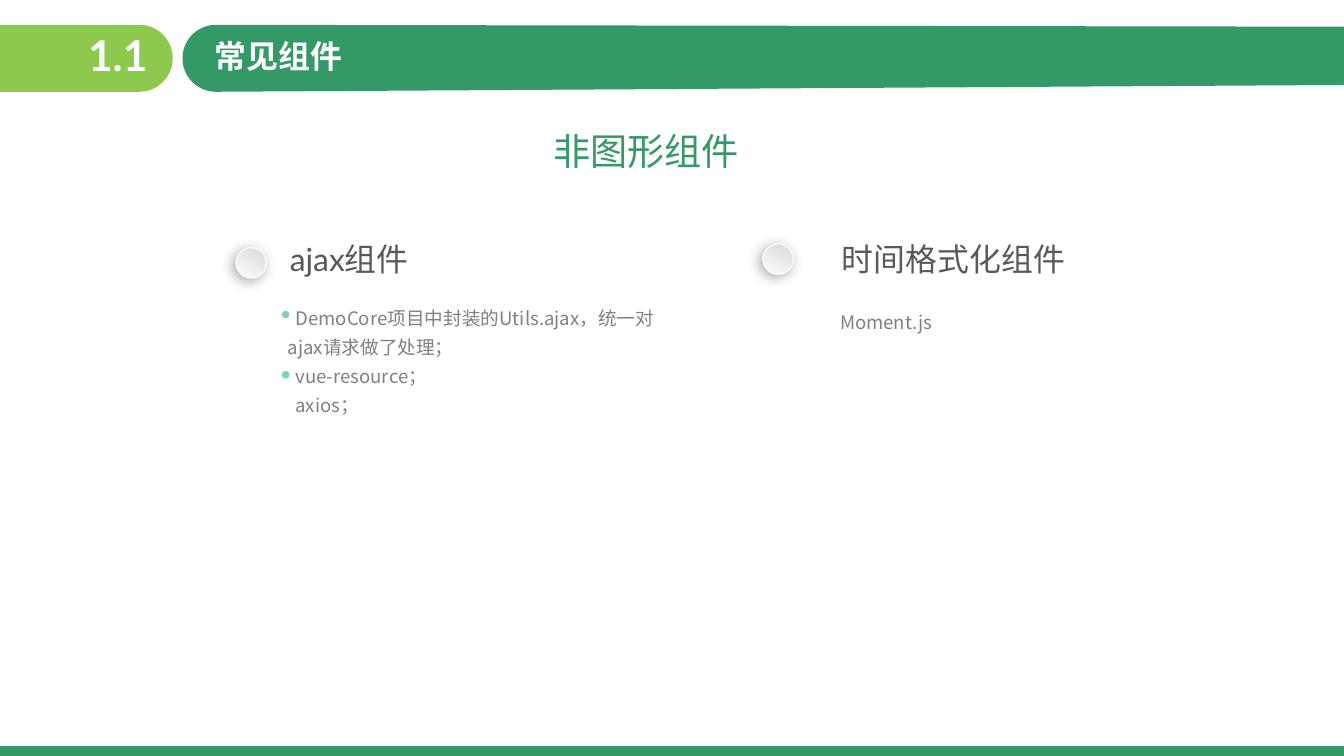
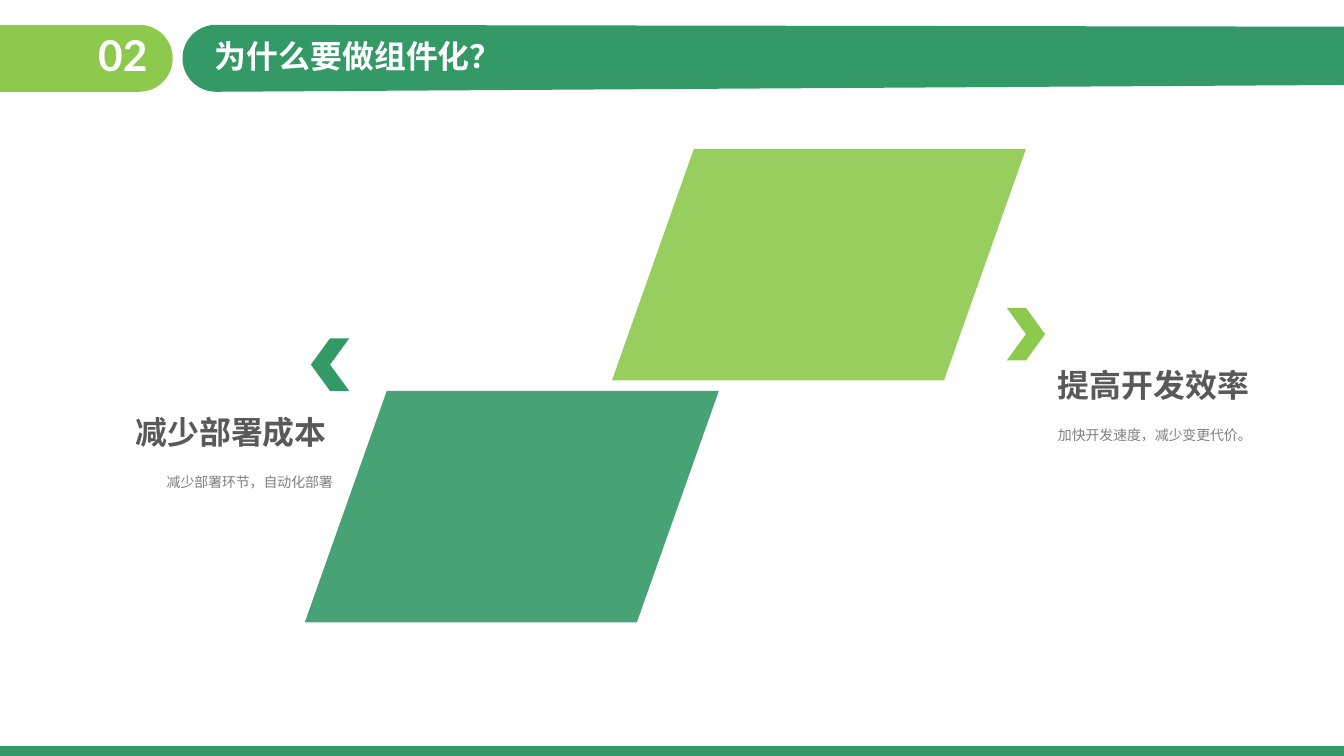
import math

from lxml import etree
from pptx import Presentation
from pptx.dml.color import RGBColor
from pptx.enum import shapes, text
from pptx.oxml import ns
from pptx.util import Cm, Pt

GREEN = RGBColor(0x33, 0x99, 0x66)
LIME = RGBColor(0x8C, 0xC9, 0x4C)
BULLET_GREEN = RGBColor(0x00, 0xB0, 0x50)
WHITE = RGBColor(0xFF, 0xFF, 0xFF)
DARK = RGBColor(0x59, 0x59, 0x59)
GREY = RGBColor(0x80, 0x80, 0x80)
KNOB_DARK = RGBColor(0xD9, 0xD9, 0xD9)
KNOB_LIGHT = RGBColor(0xFC, 0xFC, 0xFC)
CJK = "Noto Sans CJK SC"
SHAPE, ALIGN = shapes.MSO_SHAPE, text.PP_ALIGN

SLIDE_W, SLIDE_H = 35.71, 20.09
BAND_TOP, BAND_RADIUS = 0.66, 0.89

NUMBER = {"size": Pt(32), "name": "Lato", "bold": True, "color": WHITE}
TITLE = {**NUMBER, "size": Pt(24)}
SUBTITLE = {"size": Pt(28), "name": CJK, "color": GREEN}
HEADING = {"size": Pt(24), "name": "Lato", "color": DARK}
BOLD_HEADING = {**HEADING, "name": "Arial", "bold": True}
BODY = {"size": Pt(14), "name": CJK, "color": GREY}
SMALL = {**BODY, "size": Pt(10.5)}

COMPONENTS = [
    {"heading": "ajax组件", "left": 7.45, "knob": (6.27, 6.58), "body_top": 7.85,
     "indent": 0.2, "bullets": (8.26, 9.86),
     "lines": ["DemoCore项目中封装的Utils.ajax，统一对ajax请求做了处理；",
               "vue-resource；", "axios；"]},
    {"heading": "时间格式化组件", "left": 22.12, "knob": (20.27, 6.48), "body_top": 7.95,
     "indent": 0, "bullets": (), "lines": ["Moment.js"]},
]
REASONS = [
    {"heading": "减少部署成本", "note": "减少部署环节，自动化部署", "color": GREEN,
     "panel": (8.1, 10.39), "chevron": (8.26, 8.99), "turn": 180,
     "heading_at": (3.35, 10.85), "note_at": (1.3, 12.34), "align": ALIGN.RIGHT},
    {"heading": "提高开发效率", "note": "加快开发速度，减少变更代价。", "color": LIME,
     "panel": (16.26, 3.96), "chevron": (26.75, 8.18), "turn": 0,
     "heading_at": (27.86, 9.58), "note_at": (27.86, 11.07), "align": ALIGN.LEFT},
]


def add_text(page, at, lines, style, align=ALIGN.LEFT, spacing=1.0, indent=0):
    box = page.shapes.add_textbox(*map(Cm, at))
    frame = box.text_frame
    frame.word_wrap = True
    for number, line in enumerate(lines):
        para = frame.paragraphs[0] if number == 0 else frame.add_paragraph()
        para.alignment, para.line_spacing = align, spacing
        if indent:
            para._p.get_or_add_pPr().set("indent", str(Cm(indent)))
        span = para.add_run()
        span.text = line
        for key, value in style.items():
            if key == "color":
                span.font.color.rgb = value
            else:
                setattr(span.font, key, value)
        east_asian = etree.SubElement(span.font._element, ns.qn("a:ea"))
        east_asian.set("typeface", CJK)
        span.font._element.find(ns.qn("a:latin")).addnext(east_asian)


def paint(shape, color, opacity=100):
    shape.shadow.inherit = False
    shape.fill.solid()
    shape.fill.fore_color.rgb = color
    shape.line.fill.background()
    if opacity < 100:
        tone = shape.element.spPr.find(f"{ns.qn('a:solidFill')}/{ns.qn('a:srgbClr')}")
        etree.SubElement(tone, ns.qn("a:alpha")).set("val", str(opacity * 1000))


def add_filled(page, kind, at, color, opacity=100):
    shape = page.shapes.add_shape(kind, *map(Cm, at))
    paint(shape, color, opacity)
    return shape


def add_round_band(page, center_x, side, end_points, color):
    """Draw a band with a half-round end; side is 1 for right, -1 for left."""
    arc = []
    for degrees in range(-90, 91, 5):
        angle = math.radians(degrees)
        arc.append((center_x + side * BAND_RADIUS * math.cos(angle),
                    BAND_TOP + BAND_RADIUS * (1 + math.sin(angle))))
    points = [(Cm(x), Cm(y)) for x, y in arc + end_points]
    outline = page.shapes.build_freeform(*points[0])
    outline.add_line_segments(points[1:])
    paint(outline.convert_to_shape(), color)


def add_knob(page, left, top):
    knob = add_filled(page, SHAPE.OVAL, (left, top, 0.81, 0.81), KNOB_LIGHT)
    knob.fill.gradient()
    knob.fill.gradient_angle = 240
    for stop, color in zip(knob.fill.gradient_stops, (KNOB_DARK, KNOB_LIGHT)):
        stop.color.rgb = color
    knob.line.color.rgb = KNOB_LIGHT
    knob.line.width = Pt(1)
    effects = knob.element.spPr.find(ns.qn("a:effectLst"))
    shadow = etree.SubElement(effects, ns.qn("a:outerShdw"), blurRad=str(Pt(10)),
                              dist=str(Pt(3)), dir=str(136 * 60000))
    tone = etree.SubElement(shadow, ns.qn("a:srgbClr"), val="000000")
    etree.SubElement(tone, ns.qn("a:alpha"), val="34000")


def add_page(deck, number, title):
    page = deck.slides.add_slide(deck.slide_layouts[6])
    bottom = BAND_TOP + 2 * BAND_RADIUS
    add_round_band(page, 3.7, 1, [(0, bottom), (0, BAND_TOP)], LIME)
    add_round_band(page, 5.74, -1, [(SLIDE_W, 2.26), (SLIDE_W, 0.71)], GREEN)
    add_text(page, (0, 0.66, 4.17, 1.63), [number], NUMBER, ALIGN.RIGHT)
    add_text(page, (5.46, 0.86, 20, 1.27), [title], TITLE)
    add_filled(page, SHAPE.RECTANGLE, (0, 19.83, SLIDE_W, SLIDE_H - 19.83), GREEN)
    return page


def add_components(deck):
    page = add_page(deck, "1.1", "常见组件")
    add_text(page, (12.47, 3.28, 9.4, 1.45), ["非图形组件"], SUBTITLE, ALIGN.CENTER)
    for item in COMPONENTS:
        left = item["left"]
        add_knob(page, *item["knob"])
        add_text(page, (left, 6.25, 7, 1.3), [item["heading"]], HEADING)
        add_text(page, (left - 0.05, item["body_top"], 11.05, 3.35), item["lines"],
                 BODY, spacing=1.3, indent=item["indent"])
        for top in item["bullets"]:
            add_filled(page, SHAPE.OVAL, (left + 0.04, top, 0.2, 0.2), BULLET_GREEN, 50)


def add_reasons(deck):
    page = add_page(deck, "02", "为什么要做组件化？")
    for item in REASONS:
        panel = add_filled(page, SHAPE.PARALLELOGRAM, (*item["panel"], 11, 6.15),
                           item["color"], 90)
        panel.adjustments[0] = 0.354
        chevron = add_filled(page, SHAPE.CHEVRON, (*item["chevron"], 1.02, 1.4), item["color"])
        chevron.rotation = item["turn"]
        add_text(page, (*item["heading_at"], 6, 1.27), [item["heading"]], BOLD_HEADING)
        add_text(page, (*item["note_at"], 7.8, 0.84), [item["note"]], SMALL,
                 item["align"], 1.3)


def main():
    deck = Presentation()
    deck.slide_width, deck.slide_height = Cm(SLIDE_W), Cm(SLIDE_H)
    add_components(deck)
    add_reasons(deck)
    deck.save("out.pptx")


if __name__ == "__main__":
    main()
